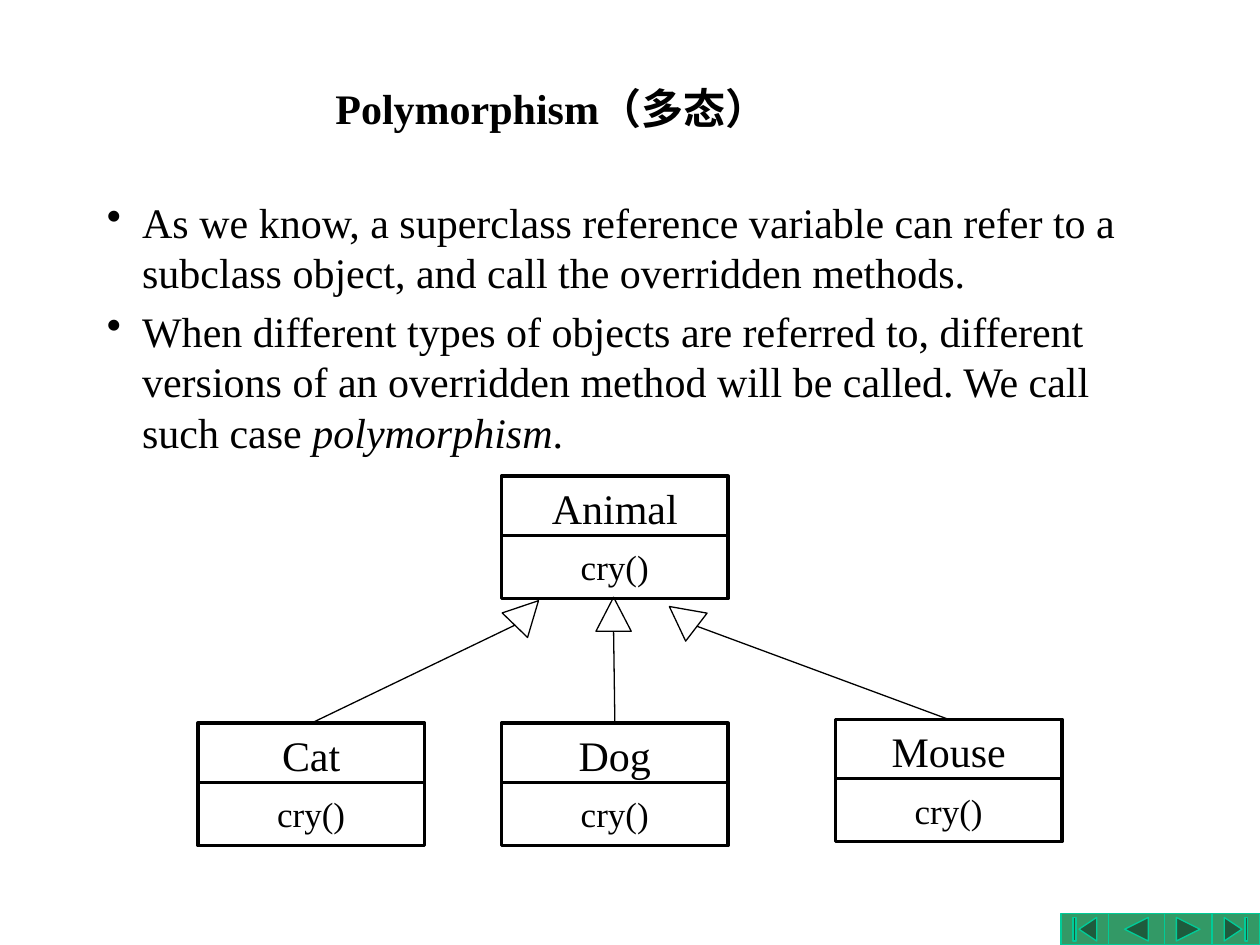
"""Build the polymorphism slide with its class diagram."""
from lxml import etree
from pptx import Presentation, util as u
from pptx.dml.color import RGBColor
from pptx.enum import shapes, text
from pptx.oxml.ns import qn

FONT = "Times New Roman"
COLORS = {"ink": "000000", "paper": "FFFFFF", "button": "339966", "edge": "00CC99"}
KIND = shapes.MSO_SHAPE

TITLE = "Polymorphism（多态）"
BULLETS = [
    [("As we know, a superclass reference variable can refer to a subclass object, "
      "and call the overridden methods.", False)],
    [("When different types of objects are referred to, different versions of an "
      "overridden method will be called. We call such case ", False),
     ("polymorphism", True), (".", False)],
]
METHOD = "cry()"
CLASSES = [("Animal", 3.98, 3.78), ("Cat", 1.57, 5.74),
           ("Dog", 3.98, 5.74), ("Mouse", 6.63, 5.71)]
CLASS_WIDTH, ROW_HEIGHT, ROW_STEP = 1.8, 0.5, 0.47
ARROWHEADS = [(4.04, 4.73, 44), (5.28, 4.76, 307.4), (4.73, 4.74, 0)]
LINES = [(2.47, 5.74, 4.09, 4.96), (4.88, 5.74, 4.87, 5.01), (7.53, 5.71, 5.53, 4.97)]
BUTTONS = [(KIND.ACTION_BUTTON_BEGINNING, 0.38),
           (KIND.ACTION_BUTTON_BACK_OR_PREVIOUS, 0.44),
           (KIND.ACTION_BUTTON_FORWARD_OR_NEXT, 0.38),
           (KIND.ACTION_BUTTON_END, 0.38)]


def color(name):
    return RGBColor.from_string(COLORS[name])


def inches(*values):
    return [u.Inches(value) for value in values]


def add_span(para, words, size, bold=False, italic=False):
    span = para.add_run()
    span.text = words
    span.font.name, span.font.size = FONT, u.Pt(size)
    span.font.bold, span.font.italic = bold, italic
    span.font.color.rgb = color("ink")


def add_text_box(page, place, anchor):
    frame = page.shapes.add_textbox(*inches(*place)).text_frame
    frame.word_wrap = True
    frame.vertical_anchor = anchor
    return frame


def add_figure(parent, kind, place, fill, line, width):
    figure = parent.shapes.add_shape(kind, *inches(*place))
    figure.shadow.inherit = False
    if fill:
        figure.fill.solid()
        figure.fill.fore_color.rgb = color(fill)
    else:
        figure.fill.background()
    figure.line.color.rgb = color(line)
    figure.line.width = u.Pt(width)
    return figure


def add_buttons(page):
    group = page.shapes.add_group_shape()
    left = 8.42
    for kind, width in BUTTONS:
        add_figure(group, kind, (left, 7.25, width, 0.25), "button", "edge", 0.75)
        left += width


def add_bullets(page):
    frame = add_text_box(page, (0.75, 1.51, 8.5, 2.24), text.MSO_ANCHOR.TOP)
    for index, spans in enumerate(BULLETS):
        para = frame.add_paragraph() if index else frame.paragraphs[0]
        para.space_before = u.Pt(4.8)
        properties = para._p.get_or_add_pPr()
        properties.set("marL", str(u.Inches(0.28)))
        properties.set("indent", str(u.Inches(-0.28)))
        etree.SubElement(properties, qn("a:buChar"), char="•")
        for words, italic in spans:
            add_span(para, words, 24, italic=italic)


def add_class(page, name, left, top):
    for row, (words, size) in enumerate([(name, 24), (METHOD, 20)]):
        place = (left, top + row * ROW_STEP, CLASS_WIDTH, ROW_HEIGHT)
        box = add_figure(page, KIND.RECTANGLE, place, "paper", "ink", 2)
        box.text_frame.vertical_anchor = text.MSO_ANCHOR.MIDDLE
        para = box.text_frame.paragraphs[0]
        para.alignment = text.PP_ALIGN.CENTER
        add_span(para, words, size)


def add_line(page, ends):
    line = page.shapes.add_connector(shapes.MSO_CONNECTOR.STRAIGHT, *inches(*ends))
    line.line.color.rgb = color("ink")
    line.line.width = u.Pt(0.75)
    etree.SubElement(line._element.spPr, qn("a:effectLst"))


def main():
    deck = Presentation()
    deck.slide_width, deck.slide_height = inches(10, 7.5)
    page = deck.slides.add_slide(deck.slide_layouts[6])
    page.background.fill.solid()
    page.background.fill.fore_color.rgb = color("paper")

    add_buttons(page)
    heading = add_text_box(page, (0.75, 0.48, 7.25, 0.75), text.MSO_ANCHOR.MIDDLE)
    heading.paragraphs[0].alignment = text.PP_ALIGN.CENTER
    add_span(heading.paragraphs[0], TITLE, 24, bold=True)
    add_bullets(page)
    for name, left, top in CLASSES:
        add_class(page, name, left, top)
    for left, top, angle in ARROWHEADS:
        place = (left, top, 0.28, 0.27)
        head = add_figure(page, KIND.ISOSCELES_TRIANGLE, place, None, "ink", 0.75)
        head.rotation = angle
    for ends in LINES:
        add_line(page, ends)
    deck.save("out.pptx")


if __name__ == "__main__":
    main()
